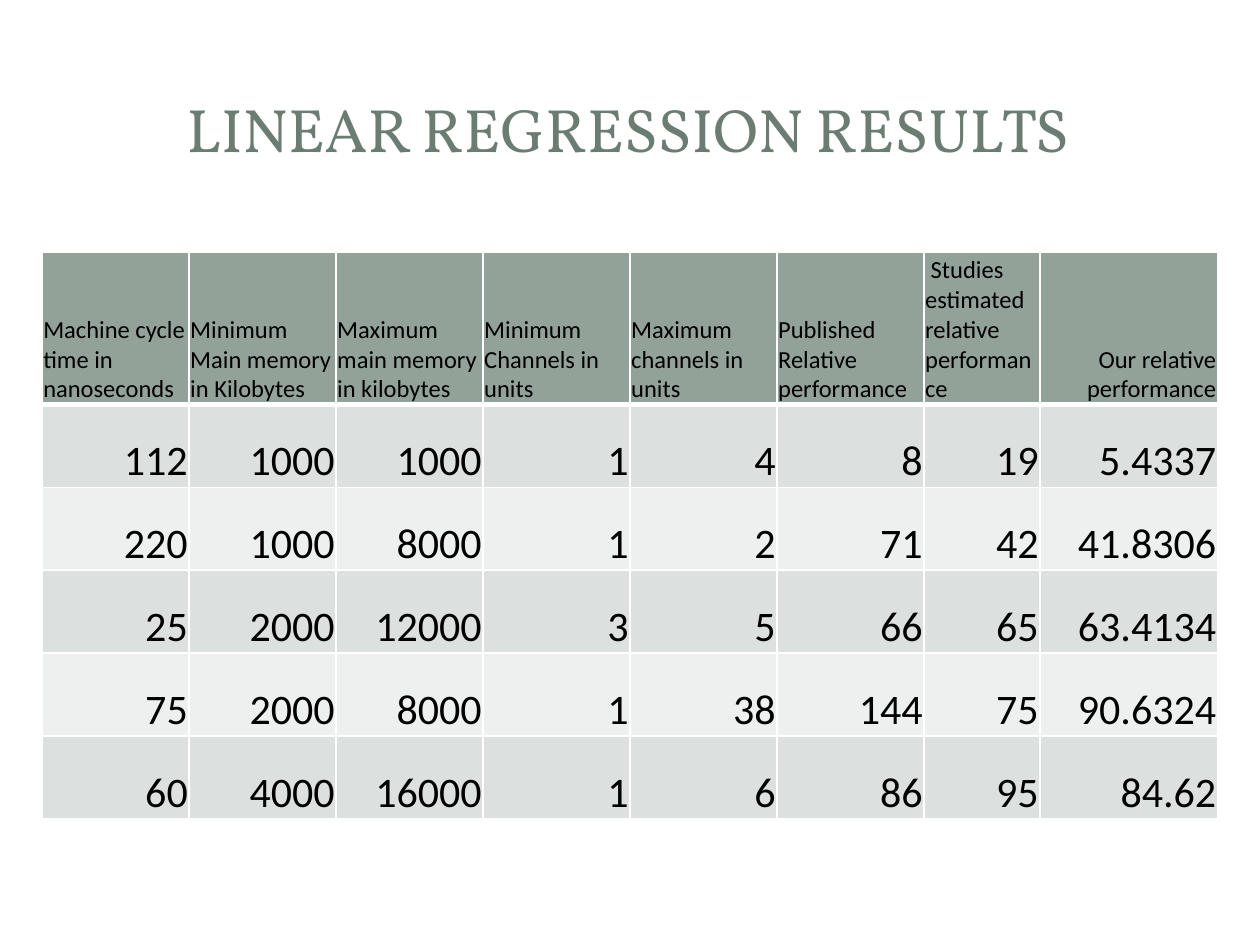
from dataclasses import dataclass
from lxml.etree import SubElement as Sub
from pptx import Presentation as Deck
from pptx.dml.color import RGBColor as Color
from pptx.enum.shapes import MSO_SHAPE as Kind
from pptx.enum.text import MSO_ANCHOR as Anchor, PP_ALIGN as Align
from pptx.oxml.ns import qn
from pptx.util import Inches, Pt

WHITE = Color(0xFF, 0xFF, 0xFF)
BLACK = Color(0, 0, 0)
GREEN = Color(0x6B, 0x7D, 0x72)
SAGE = Color(0x93, 0xA2, 0x99)
DARK = Color(0xDC, 0xE0, 0xDE)
PALE = Color(0xEE, 0xF0, 0xEF)

WIDTH, HEIGHT = 28 / 3, 4.5
HEAD = 1.21
ROWS = 5
HEIGHTS = (HEAD,) + ((HEIGHT - HEAD) / ROWS,) * ROWS


@dataclass(frozen=True)
class Panel:
    left: float
    top: float
    width: float
    height: float
    kind: Kind = Kind.RECTANGLE
    alpha: int = 100


@dataclass(frozen=True)
class Column:
    head: str
    values: tuple[str, ...]
    width: float = 7 / 6
    align: Align = Align.LEFT


PANELS = (
    Panel(0.1, 0.11, 9.8, 7.29, Kind.ROUNDED_RECTANGLE),
    Panel(0.3, 0.3, 9.4, 1.45, alpha=83),
    Panel(0.41, 0.41, 9.17, 1.22),
)
COLUMNS = (
    Column("Machine cycle time in nanoseconds", ("112", "220", "25", "75", "60")),
    Column("Minimum Main memory in Kilobytes", ("1000", "1000", "2000", "2000", "4000")),
    Column("Maximum main memory in kilobytes", ("1000", "8000", "12000", "8000", "16000")),
    Column("Minimum Channels in units", ("1", "1", "3", "1", "1")),
    Column("Maximum channels in units", ("4", "2", "5", "38", "6")),
    Column("Published Relative performance", ("8", "71", "66", "144", "86")),
    Column(" Studies estimated relative performance", ("19", "42", "65", "75", "95"), 0.92),
    Column("Our relative performance",
           ("5.4337", "41.8306", "63.4134", "90.6324", "84.62"), 1.41, Align.RIGHT),
)


def add_panel(slide, panel: Panel) -> None:
    shape = slide.shapes.add_shape(panel.kind, Inches(panel.left), Inches(panel.top),
                                   Inches(panel.width), Inches(panel.height))
    shape.shadow.inherit = False
    shape.line.fill.background()
    shape.fill.solid()
    shape.fill.fore_color.rgb = WHITE
    if panel.kind == Kind.ROUNDED_RECTANGLE:
        shape.adjustments[0] = 0.017
    if panel.alpha < 100:
        tint = shape.fill._xPr.find(qn("a:solidFill"))[0]
        Sub(tint, qn("a:alpha"), val=str(panel.alpha * 1000))


def style(frame, font: str, size: float, color: Color, align: Align) -> None:
    for para in frame.paragraphs:
        para.alignment = align
        for run in para.runs:
            run.font.name = font
            run.font.size = Pt(size)
            run.font.color.rgb = color


def border(cell, top: float, bottom: float) -> None:
    props = cell._tc.get_or_add_tcPr()
    for side, width in (("L", 1), ("R", 1), ("T", top), ("B", bottom)):
        line = Sub(props, qn(f"a:ln{side}"), w=str(Pt(width)))
        fill = Sub(line, qn("a:solidFill"))
        Sub(fill, qn("a:srgbClr"), val=str(WHITE))


def fill_cell(cell, text: str, row: int, align: Align) -> None:
    border(cell, 3 if row == 1 else 1, 3 if row == 0 else 1)
    cell.fill.solid()
    cell.fill.fore_color.rgb = SAGE if row == 0 else DARK if row % 2 else PALE
    cell.margin_left = cell.margin_right = cell.margin_top = Inches(0.01)
    cell.margin_bottom = 0
    cell.vertical_anchor = Anchor.BOTTOM
    cell.text_frame.text = text
    style(cell.text_frame, "Calibri", 24 if row else 14, BLACK, align)


def add_title(slide) -> None:
    box = slide.shapes.add_textbox(Inches(0.47), Inches(0.45), Inches(9.03), Inches(1.14))
    frame = box.text_frame
    frame.word_wrap = True
    frame.vertical_anchor = Anchor.MIDDLE
    frame.text = "LINEAR REGRESSION RESULTS"
    style(frame, "Vollkorn", 35, GREEN, Align.CENTER)


def add_results(slide) -> None:
    table = slide.shapes.add_table(len(HEIGHTS), len(COLUMNS), Inches((10 - WIDTH) / 2),
                                   Inches(2), Inches(WIDTH), Inches(HEIGHT)).table
    for row, height in enumerate(HEIGHTS):
        table.rows[row].height = Inches(height)
    for index, column in enumerate(COLUMNS):
        table.columns[index].width = Inches(column.width)
        for row, text in enumerate((column.head, *column.values)):
            align = Align.RIGHT if row else column.align
            fill_cell(table.cell(row, index), text, row, align)


deck = Deck()
deck.slide_width = Inches(10)
deck.slide_height = Inches(7.5)
slide = deck.slides.add_slide(deck.slide_layouts[6])
for panel in PANELS:
    add_panel(slide, panel)
add_title(slide)
add_results(slide)
deck.save("out.pptx")
